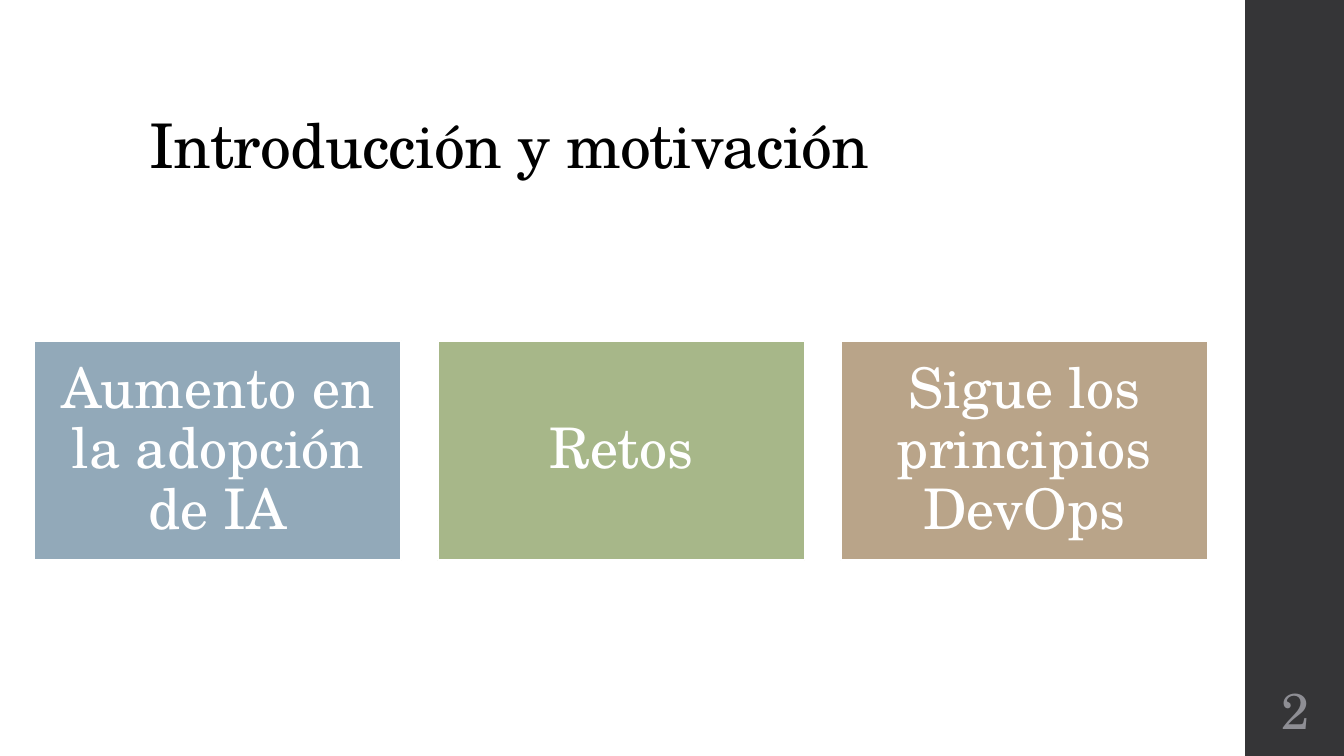
from dataclasses import dataclass

from pptx import Presentation
from pptx.dml.color import RGBColor
from pptx.enum.shapes import MSO_SHAPE as Shape
from pptx.enum.text import MSO_ANCHOR as Anchor, PP_ALIGN as Align
from pptx.shapes.autoshape import Shape as AutoShape
from pptx.slide import Slide
from pptx.util import Emu, Pt

PX = 9144  # 100 px to the inch
FONT = "TeX Gyre Schola"
BLACK = RGBColor(0x00, 0x00, 0x00)
WHITE = RGBColor(0xFF, 0xFF, 0xFF)
CHARCOAL = RGBColor(0x35, 0x35, 0x37)
GRAY = RGBColor(0x8E, 0x8E, 0x94)
BLUE = RGBColor(0x92, 0xA9, 0xB9)
GREEN = RGBColor(0xA7, 0xB7, 0x89)
TAN = RGBColor(0xB9, 0xA4, 0x89)

SLIDE_W, SLIDE_H = 1333, 750
BAR_X, BAR_W = 1235, 100
CARD_X, CARD_Y, CARD_W, CARD_H, CARD_STEP = 34, 338, 364, 218, 400


@dataclass(frozen=True)
class Card:
    text: str
    fill: RGBColor


CARDS = [
    Card("Aumento en la adopción de IA", BLUE),
    Card("Retos", GREEN),
    Card("Sigue los principios DevOps", TAN),
]


def px(n: int) -> Emu:
    return Emu(n * PX)


def write(s: AutoShape, text: str, size: int, color: RGBColor,
          align: Align, anchor: Anchor, inset: tuple[int, int]) -> None:
    """Fill a shape with one run; inset is (horizontal, vertical) in px."""
    tf = s.text_frame
    tf.word_wrap = True
    tf.vertical_anchor = anchor
    tf.margin_left = tf.margin_right = px(inset[0])
    tf.margin_top = tf.margin_bottom = px(inset[1])
    p = tf.paragraphs[0]
    p.alignment = align
    p.line_spacing = 0.9
    r = p.add_run()
    r.text = text
    r.font.name = FONT
    r.font.size = Pt(size)
    r.font.color.rgb = color


def add_rect(slide: Slide, x: int, y: int, w: int, h: int,
             fill: RGBColor) -> AutoShape:
    s = slide.shapes.add_shape(Shape.RECTANGLE, px(x), px(y), px(w), px(h))
    s.shadow.inherit = False
    s.fill.solid()
    s.fill.fore_color.rgb = fill
    s.line.fill.background()
    return s


def add_title(slide: Slide, text: str) -> None:
    s = slide.shapes.title
    s.left, s.top, s.width, s.height = px(138), px(40), px(1060), px(145)
    write(s, text, 44, BLACK, Align.LEFT, Anchor.BOTTOM, (10, 5))
    s.text_frame.paragraphs[0].runs[0].font._element.set("spc", "-50")


def add_card(slide: Slide, index: int, card: Card) -> None:
    s = add_rect(slide, CARD_X + index * CARD_STEP, CARD_Y, CARD_W, CARD_H,
                 card.fill)
    s.line.color.rgb = WHITE
    s.line.width = Pt(1.35)
    write(s, card.text, 40, WHITE, Align.CENTER, Anchor.MIDDLE, (17, 17))


def add_page_number(slide: Slide, number: int) -> None:
    s = slide.shapes.add_textbox(px(BAR_X), px(675), px(BAR_W), px(65))
    write(s, str(number), 36, GRAY, Align.CENTER, Anchor.MIDDLE, (5, 5))


def main() -> None:
    prs = Presentation()
    prs.slide_width, prs.slide_height = px(SLIDE_W), px(SLIDE_H)
    slide = prs.slides.add_slide(prs.slide_layouts.get_by_name("Title Only"))
    add_rect(slide, BAR_X, 0, SLIDE_W - BAR_X, SLIDE_H, CHARCOAL)
    add_title(slide, "Introducción y motivación")
    add_page_number(slide, 2)
    for index, card in enumerate(CARDS):
        add_card(slide, index, card)
    prs.save("out.pptx")


if __name__ == "__main__":
    main()
